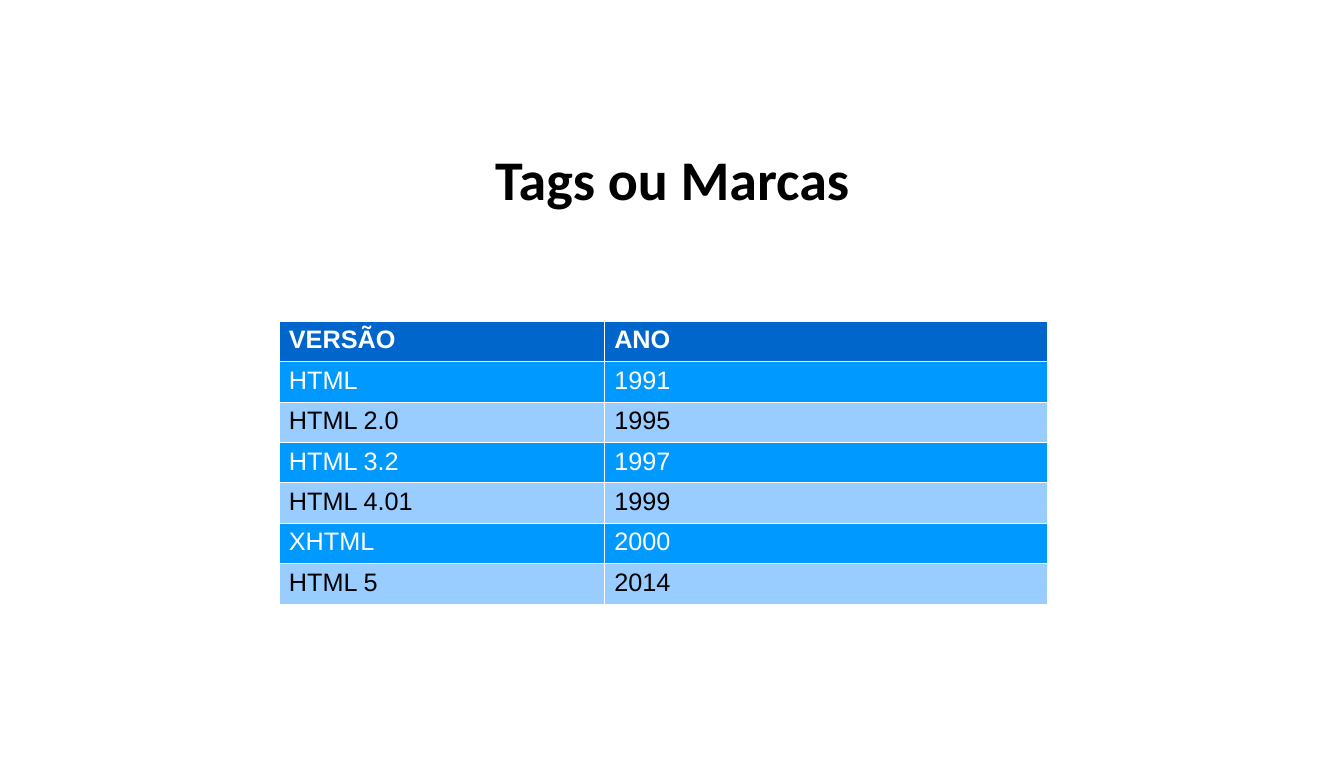
from lxml import etree
from pptx import Presentation
from pptx.dml.color import RGBColor
from pptx.enum.text import MSO_ANCHOR, PP_ALIGN
from pptx.oxml.ns import qn
from pptx.util import Pt

CENTER = PP_ALIGN.CENTER
MIDDLE = MSO_ANCHOR.MIDDLE
TITLE_ONLY = 5

WHITE = "FFFFFF"
BLACK = "000000"
HEADER_BLUE = "0066CC"
BRIGHT_BLUE = "0099FF"
PALE_BLUE = "99CCFF"

VERSIONS = [
    ("VERSÃO", "ANO"),
    ("HTML", "1991"),
    ("HTML 2.0", "1995"),
    ("HTML 3.2", "1997"),
    ("HTML 4.01", "1999"),
    ("XHTML", "2000"),
    ("HTML 5", "2014"),
]
COLUMN_WIDTHS = (232, 316)
ROW_HEIGHT = 28.8
BORDER_WIDTH = 0.06


def color(hex_string):
    return RGBColor.from_string(hex_string)


def add_run(paragraph, text, font_name, size, hex_color, bold):
    run = paragraph.add_run()
    run.text = text
    run.font.name = font_name
    run.font.size = Pt(size)
    run.font.bold = bold
    run.font.color.rgb = color(hex_color)


def set_title(slide, text):
    title = slide.shapes.title
    title.left, title.top = Pt(48), Pt(82)
    title.width, title.height = Pt(863), Pt(90)
    frame = title.text_frame
    frame.word_wrap = True
    frame.vertical_anchor = MIDDLE
    frame.margin_left = frame.margin_right = 0
    frame.margin_top = frame.margin_bottom = 0
    paragraph = frame.paragraphs[0]
    paragraph.alignment = CENTER
    add_run(paragraph, text, "Calibri", 39.9, BLACK, True)


def set_borders(cell, hex_color):
    properties = cell._tc.get_or_add_tcPr()
    for side in ("a:lnL", "a:lnR", "a:lnT", "a:lnB"):
        line = etree.SubElement(properties, qn(side), w=str(Pt(BORDER_WIDTH)))
        fill = etree.SubElement(line, qn("a:solidFill"))
        etree.SubElement(fill, qn("a:srgbClr"), val=hex_color)


def row_colors(row_index):
    """Return the fill and text colours of a row."""
    if row_index == 0:
        return HEADER_BLUE, WHITE
    if row_index % 2:
        return BRIGHT_BLUE, WHITE
    return PALE_BLUE, BLACK


def add_version_table(slide, left, top):
    table = slide.shapes.add_table(
        len(VERSIONS), len(COLUMN_WIDTHS), Pt(left), Pt(top),
        Pt(sum(COLUMN_WIDTHS)), Pt(ROW_HEIGHT * len(VERSIONS))).table
    for column, width in zip(table.columns, COLUMN_WIDTHS):
        column.width = Pt(width)
    for row_index, values in enumerate(VERSIONS):
        table.rows[row_index].height = Pt(ROW_HEIGHT)
        fill_color, text_color = row_colors(row_index)
        for column_index, value in enumerate(values):
            cell = table.cell(row_index, column_index)
            set_borders(cell, WHITE)
            cell.fill.solid()
            cell.fill.fore_color.rgb = color(fill_color)
            add_run(cell.text_frame.paragraphs[0], value, "Arial", 18,
                    text_color, row_index == 0)


def main():
    presentation = Presentation()
    presentation.slide_width, presentation.slide_height = Pt(958.3), Pt(540)
    slide = presentation.slides.add_slide(
        presentation.slide_layouts[TITLE_ONLY])

    # Background and title
    slide.background.fill.solid()
    slide.background.fill.fore_color.rgb = color(WHITE)
    set_title(slide, "Tags ou Marcas")

    # HTML versions by year
    add_version_table(slide, 198.8, 229)

    presentation.save("out.pptx")


if __name__ == "__main__":
    main()
